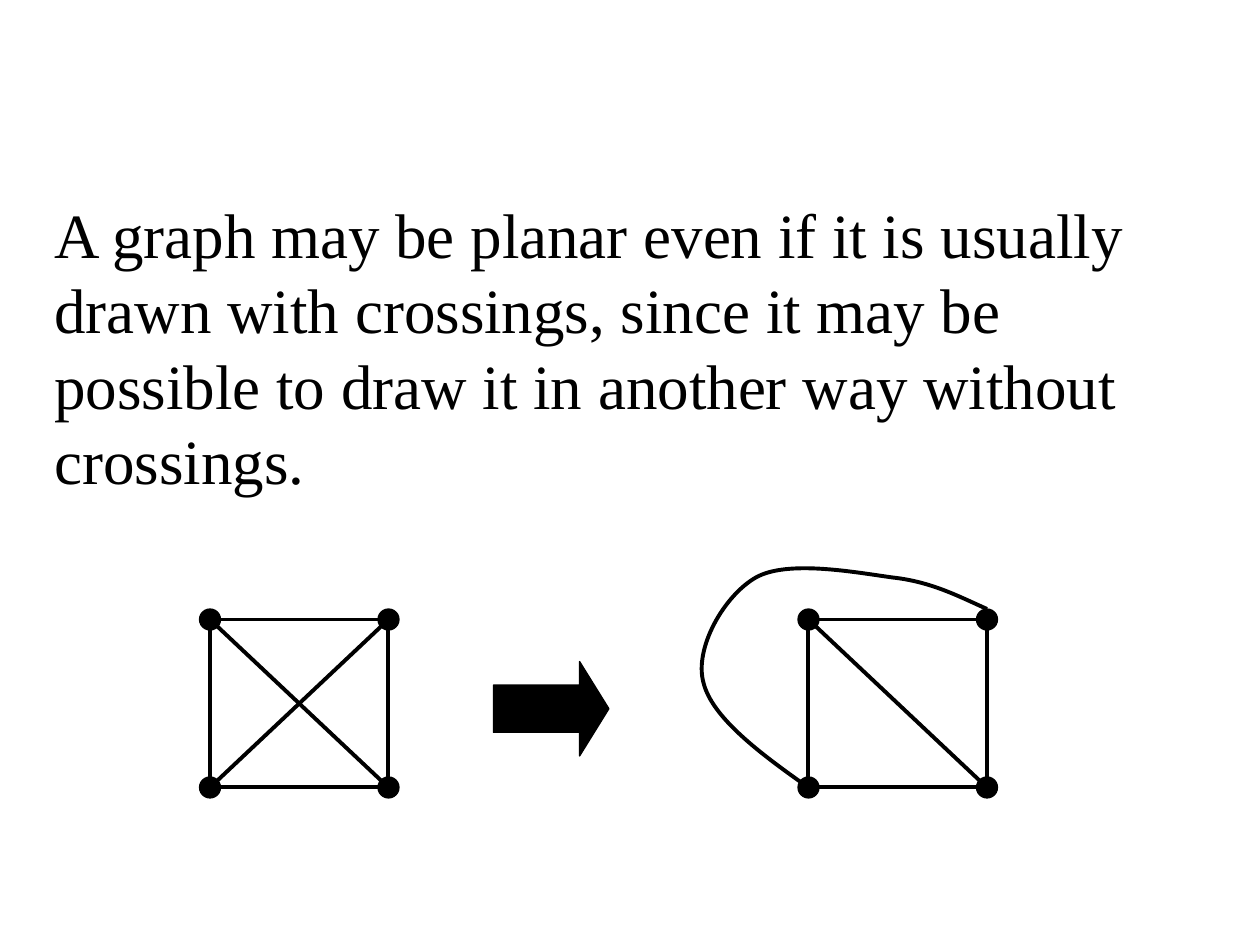
"""Builds a slide showing that a graph drawn with crossings may be planar."""
from dataclasses import dataclass

import lxml.etree
import pptx
import pptx.dml.color
import pptx.enum.shapes
import pptx.enum.text
import pptx.oxml.ns
import pptx.util

COLUMNS, ROWS = 120, 90
UNIT = pptx.util.Inches(10) // COLUMNS
COLORS = {"ink": "000000"}
FONT = "Times New Roman"
SHAPES = pptx.enum.shapes.MSO_SHAPE
EDGE_WIDTH, OUTLINE_WIDTH = 2.25, 0.75
NODE_SIZE = 2
STATEMENT = (
    "A graph may be planar even if it is usually drawn with crossings, "
    "since it may be possible to draw it in another way without crossings."
)


@dataclass(frozen=True)
class Box:
    left: float
    top: float
    width: float
    height: float

    @property
    def right(self) -> float:
        return self.left + self.width

    @property
    def bottom(self) -> float:
        return self.top + self.height


@dataclass(frozen=True)
class Graph:
    square: Box
    crossed: bool = False
    detour: tuple = ()


GRAPHS = (
    Graph(Box(20, 59, 17, 16), crossed=True),
    Graph(
        Box(77, 59, 17, 16),
        detour=(
            (94, 58), (91.3, 56.8), (88.7, 55.4), (85, 55),
            (81.4, 54.5), (75, 53.3), (72, 55),
            (69, 56.7), (66.1, 61.7), (67, 65),
            (67.8, 68.3), (72.3, 71.7), (77, 75),
        ),
    ),
)
ARROW = Box(47, 63, 11, 9)
STATEMENT_BOX = Box(4, 18, 111, 30)


def grid(*lengths: float) -> list[int]:
    return [round(length * UNIT) for length in lengths]


def ink(name: str = "ink") -> pptx.dml.color.RGBColor:
    return pptx.dml.color.RGBColor.from_string(COLORS[name])


def set_line(shape, width: float) -> None:
    shape.line.color.rgb = ink()
    shape.line.width = pptx.util.Pt(width)


def add_shape(shapes, kind, box: Box, width: float, filled: bool = True):
    shape = shapes.add_shape(kind, *grid(box.left, box.top, box.width, box.height))
    shape.shadow.inherit = False
    if filled:
        shape.fill.solid()
        shape.fill.fore_color.rgb = ink()
    else:
        shape.fill.background()
    set_line(shape, width)
    return shape


def add_edge(shapes, start: tuple, end: tuple) -> None:
    edge = shapes.add_connector(
        pptx.enum.shapes.MSO_CONNECTOR.STRAIGHT, *grid(*start, *end)
    )
    set_line(edge, EDGE_WIDTH)
    lxml.etree.SubElement(edge._element.spPr, pptx.oxml.ns.qn("a:effectLst"))


def add_curve(shapes, points: tuple) -> None:
    start, *others = [grid(*point) for point in points]
    builder = shapes.build_freeform(*start)
    builder.add_line_segments(others, close=False)
    curve = builder.convert_to_shape()
    curve.shadow.inherit = False
    curve.fill.background()
    set_line(curve, EDGE_WIDTH)
    segments = list(curve._element.iter(pptx.oxml.ns.qn("a:lnTo")))
    for index in range(0, len(segments), 3):
        outline = segments[index].getparent()
        bezier = lxml.etree.SubElement(outline, pptx.oxml.ns.qn("a:cubicBezTo"))
        for segment in segments[index:index + 3]:
            bezier.append(segment[0])
            outline.remove(segment)


def add_graph(slide, graph: Graph) -> None:
    shapes = slide.shapes.add_group_shape().shapes
    square = graph.square
    add_shape(shapes, SHAPES.RECTANGLE, square, EDGE_WIDTH, filled=False)
    add_edge(shapes, (square.left, square.top), (square.right, square.bottom))
    if graph.crossed:
        add_edge(shapes, (square.left, square.bottom), (square.right, square.top))
    for x in (square.left, square.right):
        for y in (square.top, square.bottom):
            node = Box(x - NODE_SIZE / 2, y - NODE_SIZE / 2, NODE_SIZE, NODE_SIZE)
            add_shape(shapes, SHAPES.OVAL, node, OUTLINE_WIDTH)
    if graph.detour:
        add_curve(shapes, graph.detour)


def add_text(slide, text: str, *, box: Box, size: float, spacing: float, before: float) -> None:
    shape = slide.shapes.add_textbox(*grid(box.left, box.top, box.width, box.height))
    frame = shape.text_frame
    frame.word_wrap = True
    frame.auto_size = pptx.enum.text.MSO_AUTO_SIZE.SHAPE_TO_FIT_TEXT
    paragraph = frame.paragraphs[0]
    paragraph.line_spacing = pptx.util.Pt(spacing)
    paragraph.space_before = pptx.util.Pt(before)
    run = paragraph.add_run()
    run.text = text
    run.font.name = FONT
    run.font.size = pptx.util.Pt(size)
    run.font.color.rgb = ink()


def main() -> None:
    presentation = pptx.Presentation()
    presentation.slide_width, presentation.slide_height = grid(COLUMNS, ROWS)
    slide = presentation.slides.add_slide(presentation.slide_layouts[6])
    for graph in GRAPHS:
        add_graph(slide, graph)
    arrow = add_shape(slide.shapes, SHAPES.RIGHT_ARROW, ARROW, OUTLINE_WIDTH)
    arrow.adjustments[0] = 0.5
    arrow.adjustments[1] = 0.31
    add_text(slide, STATEMENT, box=STATEMENT_BOX, size=36, spacing=43.2, before=2)
    presentation.save("out.pptx")


if __name__ == "__main__":
    main()
